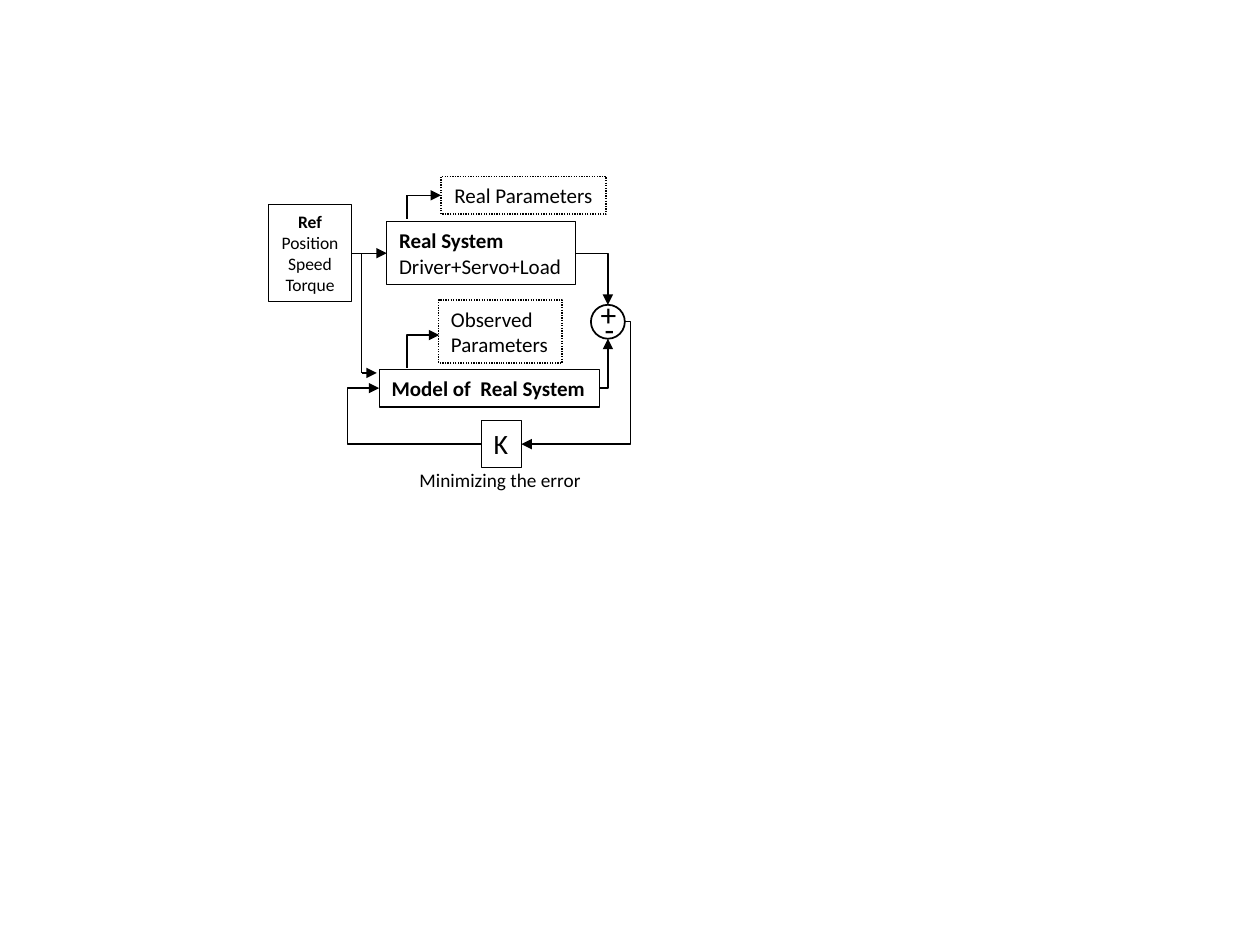
from lxml.etree import SubElement
from pptx import Presentation
from pptx.dml.color import RGBColor
from pptx.enum.dml import MSO_LINE
from pptx.enum.shapes import MSO_CONNECTOR, MSO_SHAPE
from pptx.enum.text import MSO_ANCHOR, MSO_AUTO_SIZE, PP_ALIGN
from pptx.oxml.ns import qn
from pptx.util import Pt

BLACK = RGBColor(0, 0, 0)
FRAME_FORMAT = {
    "word_wrap": False,
    "auto_size": MSO_AUTO_SIZE.SHAPE_TO_FIT_TEXT,
    "vertical_anchor": MSO_ANCHOR.TOP,
}
SIGN_FORMAT = {
    "word_wrap": True,
    "auto_size": MSO_AUTO_SIZE.NONE,
    "margin_right": Pt(0),
}


class Diagram:
    """Draws black outlined blocks, signal lines and labels on one slide."""

    font_name = "Calibri"
    line_width = 0.75

    def __init__(self, slide):
        self.slide = slide

    def add_text(self, shape, lines, size, align=PP_ALIGN.LEFT, bold_first=False,
                 frame_format=FRAME_FORMAT):
        frame = shape.text_frame
        for name, value in frame_format.items():
            setattr(frame, name, value)
        for index, text in enumerate(lines):
            paragraph = frame.add_paragraph() if index else frame.paragraphs[0]
            paragraph.alignment = align
            run = paragraph.add_run()
            run.text = text
            font_format = {"name": self.font_name, "size": Pt(size),
                           "bold": bold_first and index == 0}
            for name, value in font_format.items():
                setattr(run.font, name, value)
            run.font.color.rgb = BLACK

    def outline(self, kind, box, width=line_width, dash=None):
        shape = self.slide.shapes.add_shape(kind, *map(Pt, box))
        shape.shadow.inherit = False
        shape.fill.background()
        shape.line.color.rgb = BLACK
        shape.line.width = Pt(width)
        if dash:
            shape.line.dash_style = dash
        return shape

    def block(self, box, lines, size=12, dash=None, **text_format):
        shape = self.outline(MSO_SHAPE.RECTANGLE, box, dash=dash)
        self.add_text(shape, lines, size, **text_format)
        return shape

    def label(self, box, text, size, **text_format):
        shape = self.slide.shapes.add_textbox(*map(Pt, box))
        self.add_text(shape, [text], size, **text_format)

    def line(self, begin, end, arrow="tailEnd", kind=MSO_CONNECTOR.STRAIGHT):
        connector = self.slide.shapes.add_connector(
            kind, *map(Pt, (*begin, *end)))
        connector.line.color.rgb = BLACK
        connector.line.width = Pt(self.line_width)
        properties = connector.element.spPr
        if arrow:
            SubElement(properties.find(qn("a:ln")), qn(f"a:{arrow}"), type="triangle")
        SubElement(properties, qn("a:effectLst"))
        return connector

    def corner(self, begin, end, arrow="tailEnd"):
        """One bend: horizontal from begin, then vertical to end."""
        connector = self.line(begin, end, arrow, MSO_CONNECTOR.ELBOW)
        geometry = connector.element.spPr.find(qn("a:prstGeom"))
        geometry.set("prst", "bentConnector2")

    def loop(self, begin, end, middle):
        """Two bends, with the vertical part at x = middle."""
        connector = self.line(begin, end, kind=MSO_CONNECTOR.ELBOW)
        geometry = connector.element.spPr.find(qn("a:prstGeom"))
        adjustment = round((middle - begin[0]) / (end[0] - begin[0]) * 100000)
        SubElement(geometry.find(qn("a:avLst")), qn("a:gd"),
                   name="adj1", fmla=f"val {adjustment}")


def main():
    presentation = Presentation()
    presentation.slide_width, presentation.slide_height = Pt(720), Pt(540)
    slide = presentation.slides.add_slide(presentation.slide_layouts[6])
    diagram = Diagram(slide)

    # Reference, real system and its model
    reference = diagram.block((153.4, 117, 47.5, 55.4),
                              ["Ref", "Position", "Speed", "Torque"], 10,
                              align=PP_ALIGN.CENTER, bold_first=True)
    real_system = diagram.block((221, 126.7, 108, 36),
                                ["Real System", "Driver+Servo+Load"],
                                bold_first=True)
    diagram.block((216.7, 211, 126, 21.6), ["Model of  Real System"],
                  bold_first=True)
    input_arrow = diagram.line((200.9, 144.7), (221, 144.7))
    input_arrow.begin_connect(reference, 3)
    input_arrow.end_connect(real_system, 1)

    # Summing point
    diagram.label((336.2, 164.9, 15.8, 19.4), "+", 18, frame_format=SIGN_FORMAT)
    diagram.label((338.4, 173.5, 13.7, 19.4), "-", 18, frame_format=SIGN_FORMAT)
    diagram.outline(MSO_SHAPE.OVAL, (337.7, 174.2, 19.4, 19.4), width=1)
    diagram.corner((329, 144.7), (347.4, 174.2))
    diagram.corner((342.7, 221.8), (347.4, 193.6))

    # Error feedback through the gain
    diagram.block((275, 240.5, 23, 26.6), ["K"], 16)
    diagram.label((232.6, 264.2, 107.3, 20.9), "Minimizing the error", 11)
    diagram.loop((357.1, 183.9), (298, 253.8), middle=360.1)
    diagram.loop((275, 253.8), (216.7, 221.8), middle=198.7)

    # Real and observed parameters
    real_parameters = diagram.block((252, 100.8, 94.3, 21.6), ["Real Parameters"],
                                    dash=MSO_LINE.ROUND_DOT,
                                    align=PP_ALIGN.CENTER)
    diagram.block((250.6, 171.4, 70.6, 36), ["Observed", "Parameters"],
                  dash=MSO_LINE.ROUND_DOT)
    diagram.corner((251, 191.5), (232.6, 210.2), arrow="headEnd")
    diagram.line((232.6, 111.6), (252, 111.6)).end_connect(real_parameters, 1)
    diagram.line((232.6, 111.6), (232.6, 125.3), arrow=None)

    # Reference branch to the model
    diagram.line((206.6, 144.7), (206.6, 213.1), arrow=None)
    diagram.line((206.6, 213.1), (215.3, 213.1))

    presentation.save("out.pptx")


if __name__ == "__main__":
    main()
